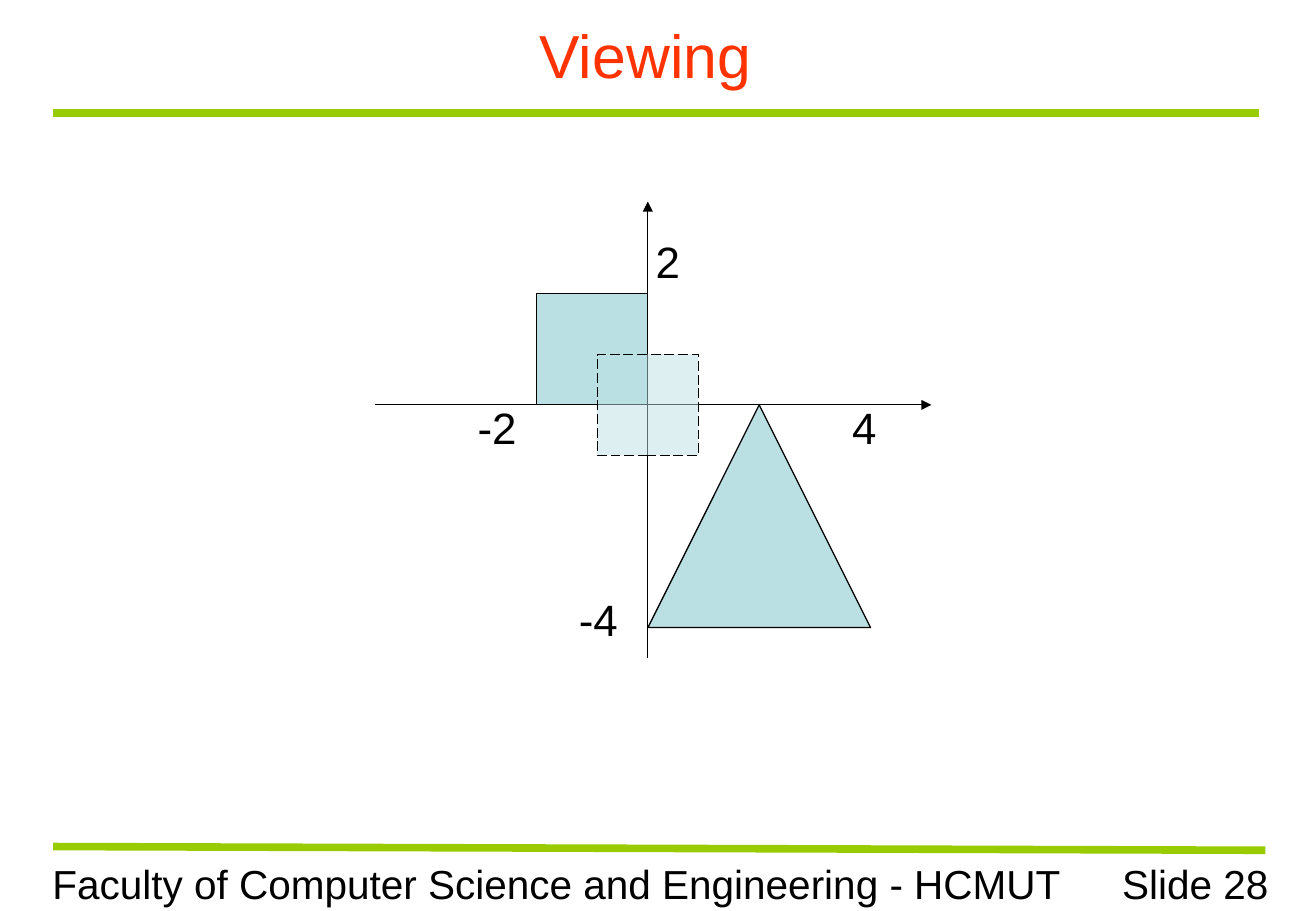
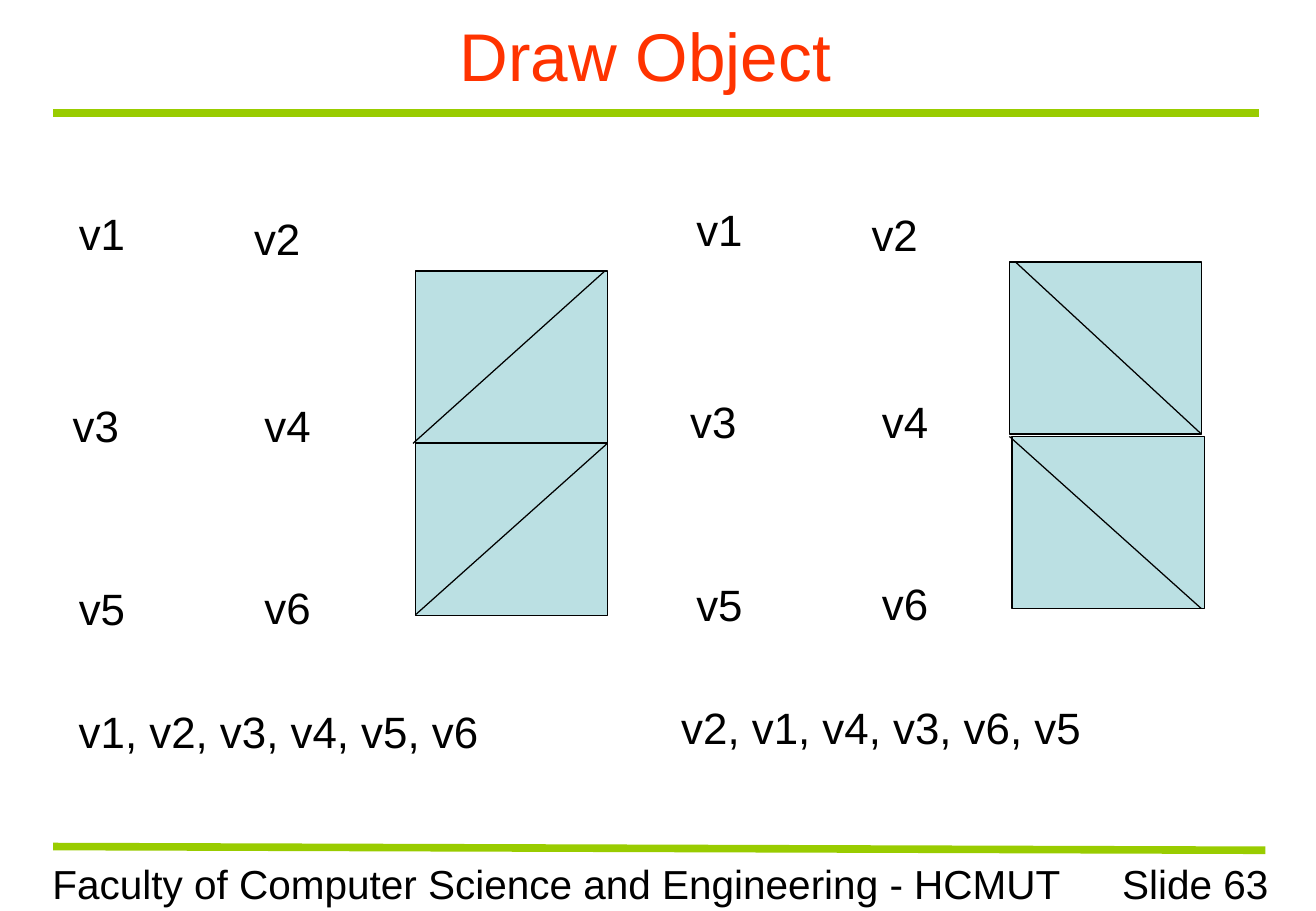
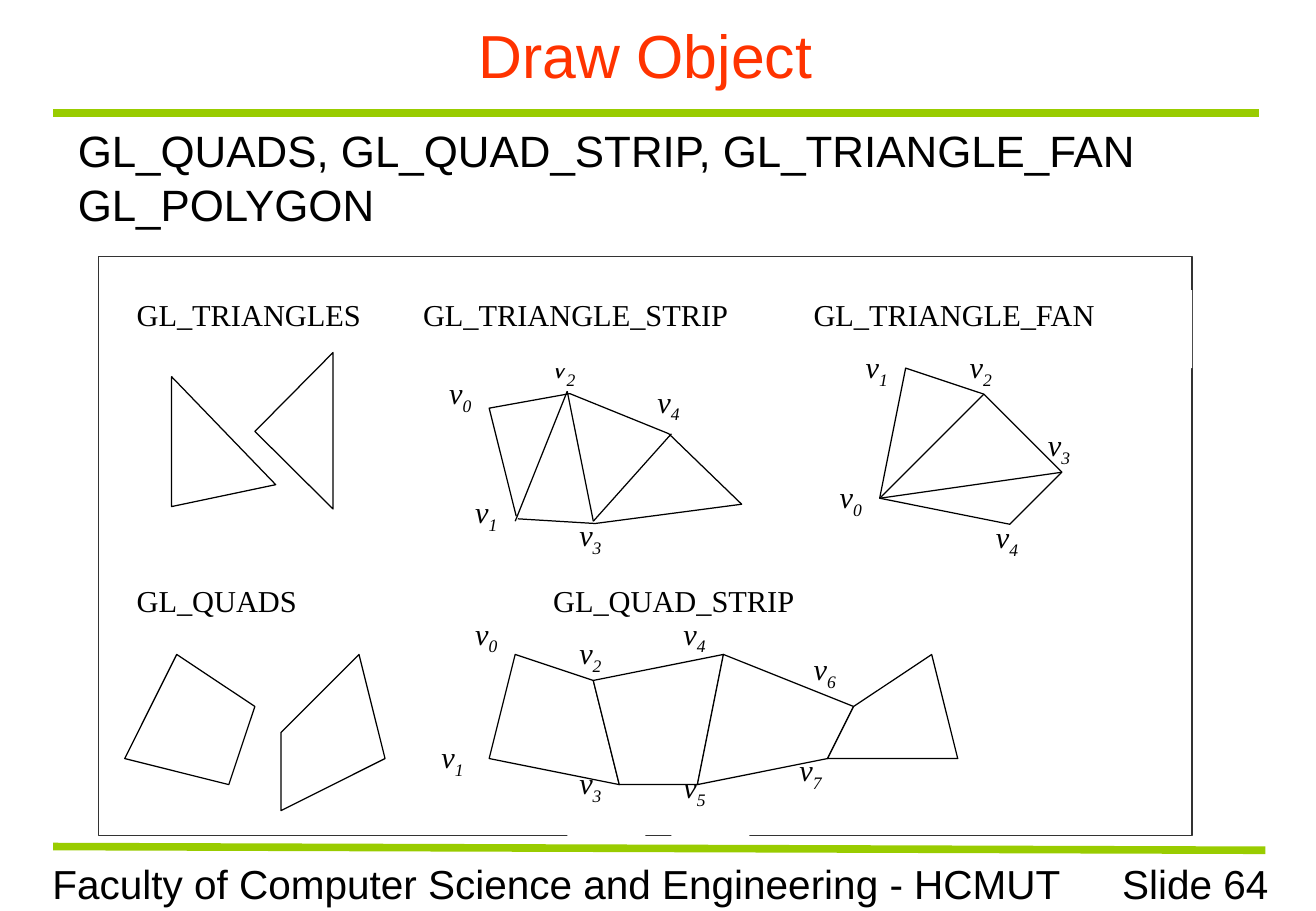
from lxml.etree import SubElement
from pptx import Presentation
from pptx.dml.color import RGBColor
from pptx.enum.dml import MSO_LINE
from pptx.enum.shapes import MSO_CONNECTOR, MSO_SHAPE
from pptx.enum.text import MSO_ANCHOR, MSO_AUTO_SIZE, PP_ALIGN
from pptx.oxml.ns import qn
from pptx.util import Pt

COLORS = {
    "title": "FF3300",
    "band": "99CC00",
    "text": "000000",
    "line": "000000",
    "frame": "333333",
    "figure": "BBE0E3",
    "paper": "FFFFFF",
}
SANS = "Arial"
SERIF = "Times New Roman"
GRID_LEFT, GRID_TOP, GRID_STEP = 58.5, 156.5, 15.43


def color(name):
    """Return the named colour of the palette."""
    return RGBColor.from_string(COLORS[name])


def place(shape, left, top, width, height):
    """Move and size a shape, in points."""
    shape.left, shape.top = Pt(left), Pt(top)
    shape.width, shape.height = Pt(width), Pt(height)


def write_text(shape, text, size=26, font=SANS, fill="text", align=PP_ALIGN.LEFT,
               anchor=MSO_ANCHOR.TOP, wrap=True, italic=False, subscript="", space_before=0):
    """Write formatted lines into a shape, with an optional subscript at the end."""
    frame = shape.text_frame
    frame.auto_size = MSO_AUTO_SIZE.NONE
    frame.word_wrap = wrap
    frame.vertical_anchor = anchor
    for index, line in enumerate(text.split("\n")):
        paragraph = frame.add_paragraph() if index else frame.paragraphs[0]
        paragraph.alignment = align
        paragraph.space_before = Pt(space_before)
        for part in filter(None, (line, subscript)):
            run = paragraph.add_run()
            run.text = part
            run.font.size = Pt(size)
            run.font.name = font
            run.font.italic = italic
            run.font.color.rgb = color(fill)
    if subscript:
        shape.element.xpath(".//a:rPr")[-1].set("baseline", "-25000")


def add_label(slide, text, left, top, width, height=38, **text_format):
    """Add a text box."""
    box = slide.shapes.add_textbox(Pt(left), Pt(top), Pt(width), Pt(height))
    write_text(box, text, **text_format)


def add_line(slide, start, end, stroke="line", width=0.75, arrow=False):
    """Add a straight line, with an arrowhead at its end if asked."""
    connector = slide.shapes.add_connector(
        MSO_CONNECTOR.STRAIGHT, *(Pt(value) for value in (*start, *end)))
    connector.line.color.rgb = color(stroke)
    connector.line.width = Pt(width)
    properties = connector.element.xpath("./p:spPr")[0]
    if arrow:
        SubElement(properties.find(qn("a:ln")), qn("a:tailEnd"), type="triangle")
    SubElement(properties, qn("a:effectLst"))


def paint(shape, fill=None, stroke="line"):
    """Set the fill and outline of a shape, either of which may be absent."""
    shape.shadow.inherit = False
    if fill:
        shape.fill.solid()
        shape.fill.fore_color.rgb = color(fill)
    else:
        shape.fill.background()
    if stroke:
        shape.line.color.rgb = color(stroke)
        shape.line.width = Pt(0.75)
    else:
        shape.line.fill.background()


def add_figure(slide, left, top, width, height, kind=MSO_SHAPE.RECTANGLE,
               fill="figure", stroke="line"):
    """Add a painted preset shape."""
    shape = slide.shapes.add_shape(kind, Pt(left), Pt(top), Pt(width), Pt(height))
    paint(shape, fill, stroke)
    return shape


def grid_point(column, row):
    """Convert grid units of the primitives diagram to points."""
    return GRID_LEFT + column * GRID_STEP, GRID_TOP + row * GRID_STEP


def add_grid_text(slide, text, column, row, columns=3, rows=3, **text_format):
    """Add a white text block placed in grid units."""
    block = add_figure(slide, *grid_point(column, row), columns * GRID_STEP,
                       rows * GRID_STEP, fill="paper", stroke=None)
    write_text(block, text, size=18, font=SERIF, **text_format)


def add_outline(slide, corners, closed=True):
    """Add a polygon, or an open unfilled path, given in grid units."""
    first, *others = [tuple(Pt(value) for value in grid_point(*corner)) for corner in corners]
    builder = slide.shapes.build_freeform(*first, scale=1.0)
    builder.add_line_segments(others, close=closed)
    paint(builder.convert_to_shape(), "paper" if closed else None)


def add_slide(presentation, title, number, title_size=36, layout=5):
    """Add a slide with its title, bands and footer."""
    slide = presentation.slides.add_slide(presentation.slide_layouts[layout])
    add_label(slide, f"Slide {number}", 615.6, 505.5, 143.3, 36, size=24, align=PP_ALIGN.RIGHT)
    add_line(slide, (31.5, 67), (746.5, 67), "band", 4.5)
    add_line(slide, (31.5, 501.8), (750, 504), "band", 4.5)
    add_label(slide, "Faculty of Computer Science and Engineering - HCMUT",
              24, 505.5, 613.4, 36, size=24)
    place(slide.shapes.title, 24, 7.2, 717, 50.4)
    write_text(slide.shapes.title, title, size=title_size, fill="title",
               align=PP_ALIGN.CENTER, anchor=MSO_ANCHOR.MIDDLE)
    return slide


def build_viewing(presentation):
    """Build the slide with a viewing window over two figures."""
    slide = add_slide(presentation, "Viewing", 28)
    center_x, center_y, unit = 384, 240, 33
    add_line(slide, (center_x, 390), (center_x, 119.5), arrow=True)
    add_line(slide, (222, center_y), (552, center_y), arrow=True)
    add_figure(slide, center_x - 2 * unit, center_y - 2 * unit, 2 * unit, 2 * unit)
    for text, left, top in (("4", 498, 234), ("-2", 276, 234),
                            ("2", 381.6, 135.4), ("-4", 336, 348)):
        add_label(slide, text, left, top, 66)
    add_figure(slide, center_x, center_y, 4 * unit, 4 * unit, MSO_SHAPE.ISOSCELES_TRIANGLE)
    window = add_figure(slide, center_x - 30, center_y - 30, 60, 60)
    window.line.dash_style = MSO_LINE.LONG_DASH
    SubElement(window.element.xpath("./p:spPr/a:solidFill/a:srgbClr")[0],
               qn("a:alpha"), val="49000")


def build_vertex_order(presentation):
    """Build the slide that compares two vertex orders."""
    slide = add_slide(presentation, "Draw Object", 63, title_size=40)
    vertices = ((39.6, 118.8), (143.5, 121.8), (36, 232.6),
                (149.6, 232.6), (39.6, 341.3), (149.6, 340.6))
    panels = (
        (0, 0, "v1, v2, v3, v4, v5, v6", 39.6, ((246.2, 160.6), (246.2, 262.8)),
         (((358.6, 160.6), (244.8, 262.8)), ((360, 262.8), (246.2, 364.5)))),
        (366, -2.2, "v2, v1, v4, v3, v6, v5", 396.7, ((598.3, 155.3), (599.8, 258.7)),
         (((601.9, 155.3), (712, 257.2)), ((598.3, 258.7), (712, 360.7)))),
    )
    for shift_x, shift_y, order, order_left, squares, diagonals in panels:
        for left, top in squares:
            add_figure(slide, left, top, 114, 102)
        for start, end in diagonals:
            add_line(slide, start, end)
        for number, (left, top) in enumerate(vertices, 1):
            add_label(slide, f"v{number}", left + shift_x, top + shift_y, 42.5, 39, wrap=False)
        add_label(slide, order, order_left, 414 + shift_y, 321.8, 39)


def build_primitives(presentation):
    """Build the slide with the diagram of drawing primitives."""
    slide = add_slide(presentation, "Draw Object", 64, layout=1)
    body = slide.placeholders[1]
    place(body, 38.9, 69.8, 702, 426.2)
    write_text(body, "GL_QUADS, GL_QUAD_STRIP, GL_TRIANGLE_FAN\nGL_POLYGON", space_before=1)
    for properties in body.element.xpath(".//a:pPr"):
        properties.set("marL", str(Pt(27)))
        properties.set("indent", str(Pt(-27)))
        SubElement(properties, qn("a:buNone"))
    add_figure(slide, GRID_LEFT, 152, 648, 343.4, fill=None, stroke="frame")

    quad_strip_vertices = (("7", 26.46, 18.5), ("5", 22, 19.15), ("3", 18, 19))
    other_vertices = (
        ("1", 12.7, 18), ("6", 27, 14.6), ("4", 22, 13.25), ("2", 18, 14), ("0", 14, 13.25),
        ("4", 21, 4.33), ("3", 18, 9.46), ("2", 17, 3), ("1", 14, 8.57), ("0", 13, 4),
        ("4", 34, 9.55), ("3", 36, 6), ("2", 33, 3), ("1", 29, 3), ("0", 28, 8),
    )
    for number, column, row in quad_strip_vertices:
        add_grid_text(slide, "v", column, row, italic=True, subscript=number)
    add_grid_text(slide, "GL_TRIANGLE_FAN", 27, 1, 15)
    for number, column, row in other_vertices:
        add_grid_text(slide, "v", column, row, italic=True, subscript=number)
    add_grid_text(slide, "GL_QUAD_STRIP", 17, 12, 13, 2)
    add_grid_text(slide, "GL_QUADS", 1, 12, 11)
    add_grid_text(slide, "GL_TRIANGLE_STRIP", 12, 1, 15)
    add_grid_text(slide, "GL_TRIANGLES", 1, 1, 11)

    strip = ((16.04, 9.69), (15, 5.54), (18.1, 4.98), (21.9, 6.52),
             (24.7, 9.23), (19.07, 9.97), (16.1, 9.79))
    strip_edges = ((16, 9.88), (18, 4.89), (19, 9.88), (22, 6.52))
    fan = ((30, 9), (31, 4), (34, 5), (37, 8), (35, 10))
    polygons = (
        ((2.8, 4.33), (6.8, 8.48), (2.8, 9.32)),
        ((6, 6.43), (9, 3.4), (9, 9.41)),
        fan,
        ((3, 15), (1, 19), (5, 20), (6, 17)),
        ((7, 18), (10, 15), (11, 19), (7, 21)),
        ((15, 19), (16, 15), (19, 16), (20, 20)),
        ((19, 16), (24, 15), (23, 20), (20, 20)),
        ((24, 15), (29, 17), (28, 19), (23, 20)),
        ((29, 17), (32, 15), (33, 19), (28, 19)),
    )
    for polygon in polygons:
        add_outline(slide, polygon)
    add_outline(slide, strip, closed=False)
    inner_edges = [*zip(strip_edges, strip_edges[1:]), (fan[0], fan[2]), (fan[0], fan[3])]
    for start, end in inner_edges:
        add_line(slide, grid_point(*start), grid_point(*end))


def main():
    """Build and save the presentation."""
    presentation = Presentation()
    presentation.slide_width, presentation.slide_height = Pt(780), Pt(540)
    build_viewing(presentation)
    build_vertex_order(presentation)
    build_primitives(presentation)
    presentation.save("out.pptx")


if __name__ == "__main__":
    main()
